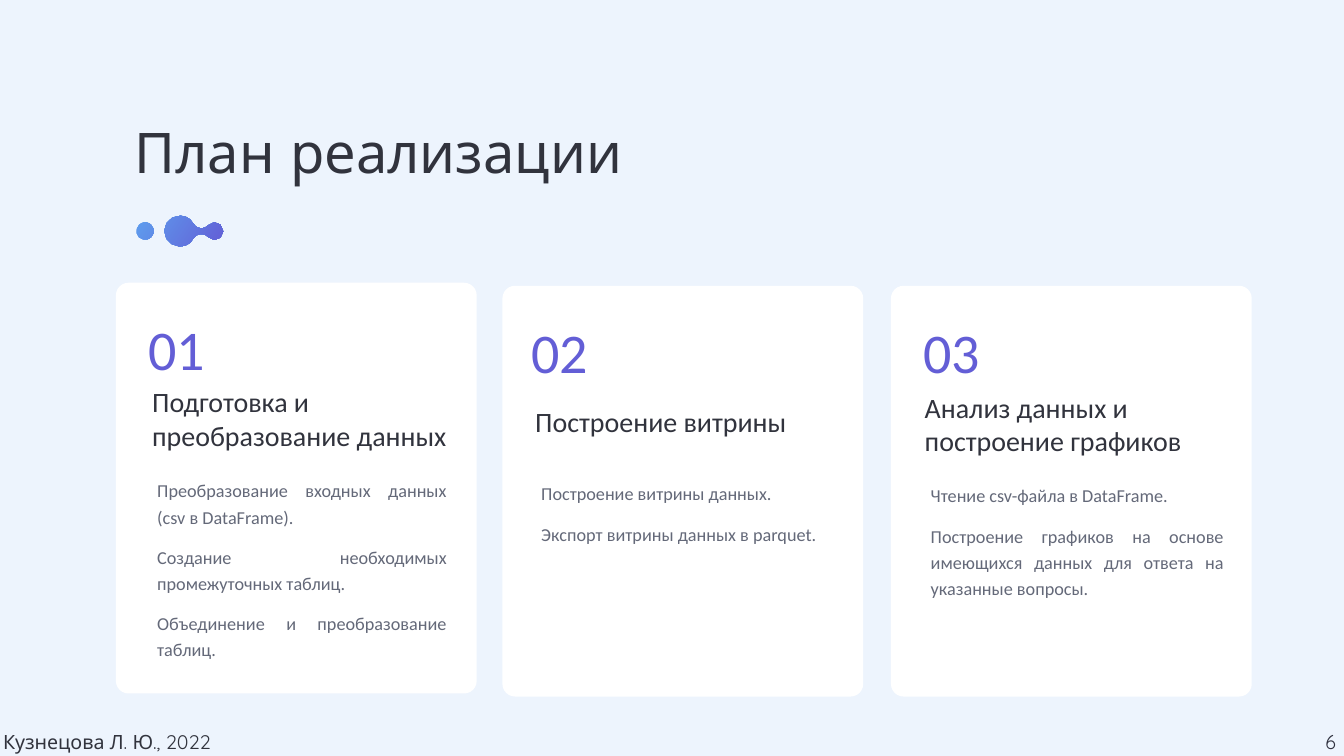
from pptx import Presentation
from pptx.dml.color import RGBColor
from pptx.enum.shapes import MSO_SHAPE
from pptx.enum.text import MSO_ANCHOR, MSO_AUTO_SIZE, PP_ALIGN
from pptx.util import Inches, Pt

ROUNDED = MSO_SHAPE.ROUNDED_RECTANGLE
TOP, MIDDLE = MSO_ANCHOR.TOP, MSO_ANCHOR.MIDDLE
FIT_TEXT = MSO_AUTO_SIZE.SHAPE_TO_FIT_TEXT
LEFT, CENTER, JUSTIFY = PP_ALIGN.LEFT, PP_ALIGN.CENTER, PP_ALIGN.JUSTIFY

INK, GREY, VIOLET, BLUE = "31333D", "646979", "635ED6", "5E9EEE"
BODY_FONT, DISPLAY_FONT = "Calibri", "Quicksand"
CARD_WIDTH, CARD_HEIGHT = 7.16, 8.15
CURVE_STEPS = 3

STEPS = [
    {
        "card": (2.3, 5.61),
        "number": ("01", 2.88),
        "heading": ("Подготовка и преобразование данных", (2.96, 7.57, 6.12, 1.46)),
        "tasks": ([
            "Преобразование входных данных (csv в DataFrame).",
            "Создание необходимых промежуточных таблиц.",
            "Объединение и преобразование таблиц.",
        ], (3.06, 9.37, 5.87, 3.82)),
    },
    {
        "card": (9.97, 5.67),
        "number": ("02", 10.48),
        "heading": ("Построение витрины", (10.56, 7.97, 5.49, 0.78)),
        "tasks": ([
            "Построение витрины данных.",
            "Экспорт витрины данных в parquet.",
        ], (10.68, 9.43, 5.8, 1.44)),
    },
    {
        "card": (17.68, 5.67),
        "number": ("03", 18.26),
        "heading": ("Анализ данных и построение графиков", (18.29, 7.68, 5.49, 1.46)),
        "tasks": ([
            "Чтение csv-файла в DataFrame.",
            "Построение графиков на основе имеющихся данных для ответа на указанные вопросы.",
        ], (18.41, 9.47, 5.94, 2.49)),
    },
]

JOINED_DROPS = [
    (3.58, 4.28), (3.41, 4.27), (3.26, 4.41), (3.26, 4.58),
    (3.26, 4.75), (3.39, 4.88), (3.56, 4.89),
    (3.68, 4.9), (3.79, 4.83), (3.84, 4.73),
    (3.87, 4.69), (3.91, 4.66), (3.95, 4.65),
    (4.02, 4.63), (4.08, 4.65), (4.13, 4.7),
    (4.23, 4.82), (4.43, 4.75), (4.43, 4.59),
    (4.43, 4.42), (4.23, 4.35), (4.13, 4.47),
    (4.09, 4.51), (4.04, 4.53), (3.99, 4.53),
    (3.93, 4.53), (3.87, 4.49), (3.84, 4.44),
    (3.79, 4.34), (3.69, 4.28), (3.58, 4.28),
]
SINGLE_DROP = [
    (2.88, 4.41), (2.84, 4.41), (2.79, 4.43), (2.76, 4.46),
    (2.69, 4.53), (2.69, 4.64), (2.76, 4.71),
    (2.83, 4.77), (2.94, 4.77), (3, 4.71),
    (3.07, 4.64), (3.07, 4.53), (3, 4.46),
    (2.97, 4.43), (2.93, 4.41), (2.88, 4.41),
]


def color(value):
    """Turn a hex string into a colour."""
    return RGBColor.from_string(value)


def trace(controls):
    """Return points in EMU along a closed chain of cubic curves."""
    points = []
    for start in range(0, len(controls) - 1, 3):
        curve = controls[start:start + 4]
        for step in range(CURVE_STEPS):
            t = step / CURVE_STEPS
            weights = ((1 - t) ** 3, 3 * t * (1 - t) ** 2, 3 * t * t * (1 - t), t ** 3)
            points.append([Inches(sum(w * p[axis] for w, p in zip(weights, curve)))
                           for axis in (0, 1)])
    return points


class PlanSlide:
    """Holds the slide and the style of its elements."""

    def __init__(self, slide, background):
        """Take a slide and paint its background."""
        self.shapes = slide.shapes
        fill = slide.background.fill
        fill.solid()
        fill.fore_color.rgb = color(background)

    def card(self, left, top):
        """Add a white rounded card."""
        card = self.shapes.add_shape(ROUNDED, Inches(left), Inches(top),
                                     Inches(CARD_WIDTH), Inches(CARD_HEIGHT))
        card.adjustments[0] = 0.035
        card.shadow.inherit = False
        card.fill.solid()
        card.fill.fore_color.rgb = color("FFFFFF")
        card.line.fill.background()

    def text(self, lines, box, size, ink=INK, font=BODY_FONT, anchor=MIDDLE,
             align=LEFT, wrap=True, spacing=None, before=None):
        """Add a text box with one paragraph per line."""
        frame = self.shapes.add_textbox(*map(Inches, box)).text_frame
        frame.word_wrap = wrap
        frame.auto_size = FIT_TEXT
        frame.vertical_anchor = anchor
        frame.margin_left = frame.margin_right = Inches(0.06)
        frame.margin_top = frame.margin_bottom = Inches(0.06)
        frame.text = "\n".join(lines)
        for paragraph in frame.paragraphs:
            paragraph.alignment = align
            paragraph.line_spacing = spacing
            paragraph.space_before = before
            paragraph.font.size = Pt(size)
            paragraph.font.name = font
            paragraph.font.color.rgb = color(ink)

    def drops(self, first, second):
        """Add one gradient shape made of two curved outlines."""
        first, second = trace(first), trace(second)
        builder = self.shapes.build_freeform(*first[0])
        builder.add_line_segments(first[1:], close=True)
        builder.move_to(*second[0])
        builder.add_line_segments(second[1:], close=True)
        drops = builder.convert_to_shape()
        drops.shadow.inherit = False
        drops.line.fill.background()
        drops.fill.gradient()
        drops.fill.gradient_angle = 326
        for stop, shade in zip(drops.fill.gradient_stops, (BLUE, VIOLET)):
            stop.color.rgb = color(shade)

    def step(self, card, number, heading, tasks):
        """Add a card with its number, heading and tasks."""
        self.card(*card)
        self.text([heading[0]], heading[1], 40)
        self.text(*tasks, 26, GREY, anchor=TOP, align=JUSTIFY, spacing=1.2, before=Pt(20))
        self.text([number[0]], (number[1], card[1] + 0.56, 2.37, 1.46), 80, VIOLET)


def main():
    """Build and save the plan slide."""
    deck = Presentation()
    deck.slide_width, deck.slide_height = Inches(26.67), Inches(15)
    plan = PlanSlide(deck.slides.add_slide(deck.slide_layouts[6]), "EDF4FD")
    for step in STEPS:
        plan.step(**step)
    plan.text(["Кузнецова Л. Ю., 2022"], (0, 14.42, 9.49, 0.58), 28, font=DISPLAY_FONT)
    plan.text(["6"], (26.24, 14.42, 0.33, 0.58), 28, "2F313F", DISPLAY_FONT,
              anchor=TOP, align=CENTER, wrap=False)
    plan.text(["План реализации"], (2.61, 2.26, 15.31, 1.46), 80, font=DISPLAY_FONT)
    plan.drops(JOINED_DROPS, SINGLE_DROP)
    deck.save("out.pptx")


if __name__ == "__main__":
    main()
